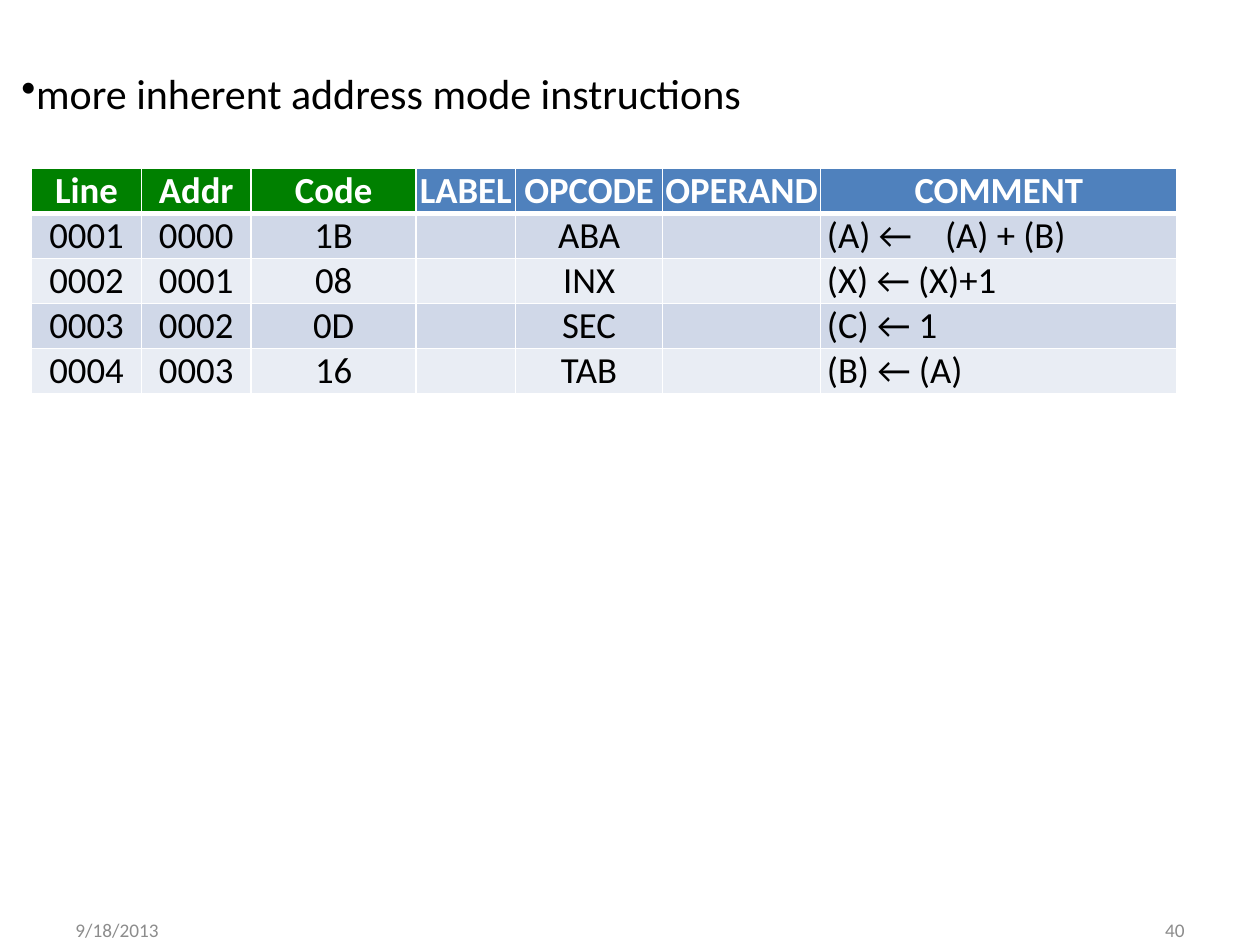
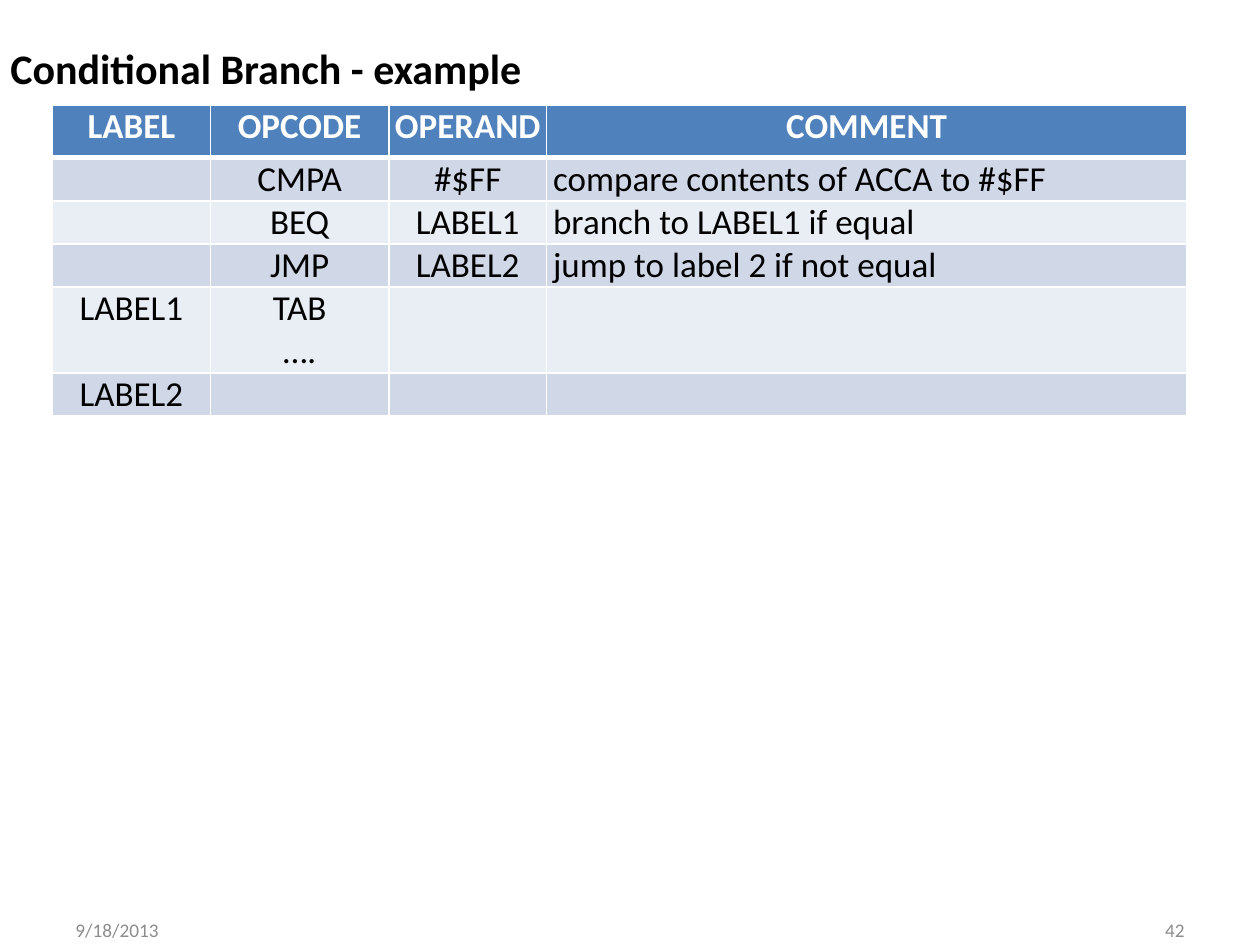
from lxml.etree import SubElement
from pptx import Presentation
from pptx.dml.color import RGBColor
from pptx.enum.text import MSO_ANCHOR as Anchor, MSO_AUTO_SIZE as AutoSize, PP_ALIGN as Align
from pptx.oxml.ns import qn
from pptx.util import Cm, Pt

FONT = "Calibri"
WHITE = RGBColor(0xFF, 0xFF, 0xFF)
BLACK = RGBColor(0, 0, 0)
GRAY = RGBColor(0x8C, 0x8C, 0x8C)
GREEN = RGBColor(0, 0x80, 0)
BLUE = RGBColor(0x4F, 0x81, 0xBD)
BANDS = RGBColor(0xD0, 0xD8, 0xE8), RGBColor(0xE9, 0xED, 0xF4)
DATE = "9/18/2013"
SOURCE_HEADERS = ["LABEL", "OPCODE", "OPERAND", "COMMENT"]
LISTING_HEADERS = ["Line", "Addr", "Code"]

INHERENT_ROWS = [
    ["0001", "0000", "1B", "", "ABA", "", "(A) ←\t(A) + (B)"],
    ["0002", "0001", "08", "", "INX", "", "(X) ← (X)+1"],
    ["0003", "0002", "0D", "", "SEC", "", "(C) ← 1"],
    ["0004", "0003", "16", "", "TAB", "", "(B) ← (A)"],
]
BRANCH_ROWS = [
    ["", "CMPA", "#$FF", "compare contents of ACCA to #$FF"],
    ["", "BEQ", "LABEL1", "branch to LABEL1 if equal"],
    ["", "JMP", "LABEL2", "jump to label 2 if not equal"],
    ["LABEL1", "TAB\n….", "", ""],
    ["LABEL2", "", "", ""],
]


def style_paragraph(paragraph, size, color, bold=False, align=Align.LEFT):
    paragraph.alignment = align
    font = paragraph.font
    font.name, font.size, font.bold = FONT, Pt(size), bold
    font.color.rgb = color


def add_bullet(paragraph, indent):
    properties = paragraph._p.get_or_add_pPr()
    properties.set("marL", str(indent))
    properties.set("indent", str(-indent))
    SubElement(properties, qn("a:buChar"), char="•")


def add_tab_stop(paragraph, position):
    tabs = SubElement(paragraph._p.get_or_add_pPr(), qn("a:tabLst"))
    SubElement(tabs, qn("a:tab"), pos=str(position), algn="l")


def add_heading(slide, text, left, top, width, bold=False, bullet=False):
    frame = slide.shapes.add_textbox(left, top, width, Cm(1.02)).text_frame
    frame.margin_left = frame.margin_right = frame.margin_top = frame.margin_bottom = 0
    frame.word_wrap = not bullet
    frame.auto_size = AutoSize.SHAPE_TO_FIT_TEXT
    paragraph = frame.paragraphs[0]
    paragraph.text = text
    if bullet:
        add_bullet(paragraph, Cm(0.3))
    style_paragraph(paragraph, 24, BLACK, bold)


def add_footer(slide, number):
    for text, left, align in ((DATE, 1.27, Align.LEFT), (number, 18.2, Align.RIGHT)):
        frame = slide.shapes.add_textbox(Cm(left), Cm(18.52), Cm(5.93), Cm(0.46)).text_frame
        frame.word_wrap = True
        frame.margin_top = frame.margin_bottom = 0
        frame.vertical_anchor = Anchor.MIDDLE
        frame.text = text
        style_paragraph(frame.paragraphs[0], 11, GRAY, align=align)


def set_borders(cell, top, bottom):
    properties = cell._tc.get_or_add_tcPr()
    for side, width in (("lnL", 1), ("lnR", 1), ("lnT", top), ("lnB", bottom)):
        line = SubElement(properties, qn(f"a:{side}"), w=str(Pt(width)))
        fill = SubElement(line, qn("a:solidFill"))
        SubElement(fill, qn("a:srgbClr"), val=str(WHITE))


def fill_cell(cell, text, size, row, header, is_comment):
    is_header = row == 0
    is_left = is_comment and not is_header
    cell.margin_right = cell.margin_top = cell.margin_bottom = 0
    cell.margin_left = Cm(0.13) if is_left else 0
    set_borders(cell, 3 if row == 1 else 1, 3 if is_header else 1)
    cell.fill.solid()
    if is_header:
        cell.fill.fore_color.rgb = GREEN if header in LISTING_HEADERS else BLUE
    else:
        cell.fill.fore_color.rgb = BANDS[(row - 1) % 2]
    cell.text = text
    for paragraph in cell.text_frame.paragraphs:
        if "\t" in text:
            add_tab_stop(paragraph, Cm(2.38))
        style_paragraph(paragraph, size, WHITE if is_header else BLACK, is_header,
                        Align.LEFT if is_left else Align.CENTER)


def add_code_table(slide, left, top, headers, rows, widths, heights, size):
    frame = slide.shapes.add_table(len(rows) + 1, len(headers), Cm(left), Cm(top),
                                   Cm(sum(widths)), Cm(sum(heights)))
    table = frame.table
    for column, width in zip(table.columns, widths):
        column.width = Cm(width)
    for row, height in zip(table.rows, heights):
        row.height = Cm(height)
    for row_index, texts in enumerate([headers] + rows):
        for column_index, text in enumerate(texts):
            header = headers[column_index]
            fill_cell(table.cell(row_index, column_index), text, size, row_index,
                      header, header == "COMMENT")


def add_inherent_slide(presentation):
    slide = presentation.slides.add_slide(presentation.slide_layouts[6])
    add_footer(slide, "40")
    add_code_table(slide, 0.64, 3.39, LISTING_HEADERS + SOURCE_HEADERS, INHERENT_ROWS,
                   [2.21, 2.21, 3.33, 2, 2.97, 3.18, 7.19], [0.91] * 5, 21)
    add_heading(slide, "more inherent address mode instructions",
                Cm(0.43), Cm(1.37), Cm(14.66), bullet=True)


def add_branch_slide(presentation):
    slide = presentation.slides.add_slide(presentation.slide_layouts[6])
    add_footer(slide, "42")
    add_code_table(slide, 1.06, 2.12, SOURCE_HEADERS, BRANCH_ROWS,
                   [3.18, 3.6, 3.18, 12.9], [1.06, 0.87, 0.87, 0.87, 1.73, 0.87], 20)
    add_heading(slide, "Conditional Branch - example",
                Cm(0.21), Cm(0.85), Cm(24.55), bold=True)


def main():
    presentation = Presentation()
    presentation.slide_width, presentation.slide_height = Cm(25.4), Cm(19.05)
    add_inherent_slide(presentation)
    add_branch_slide(presentation)
    presentation.save("out.pptx")


if __name__ == "__main__":
    main()
